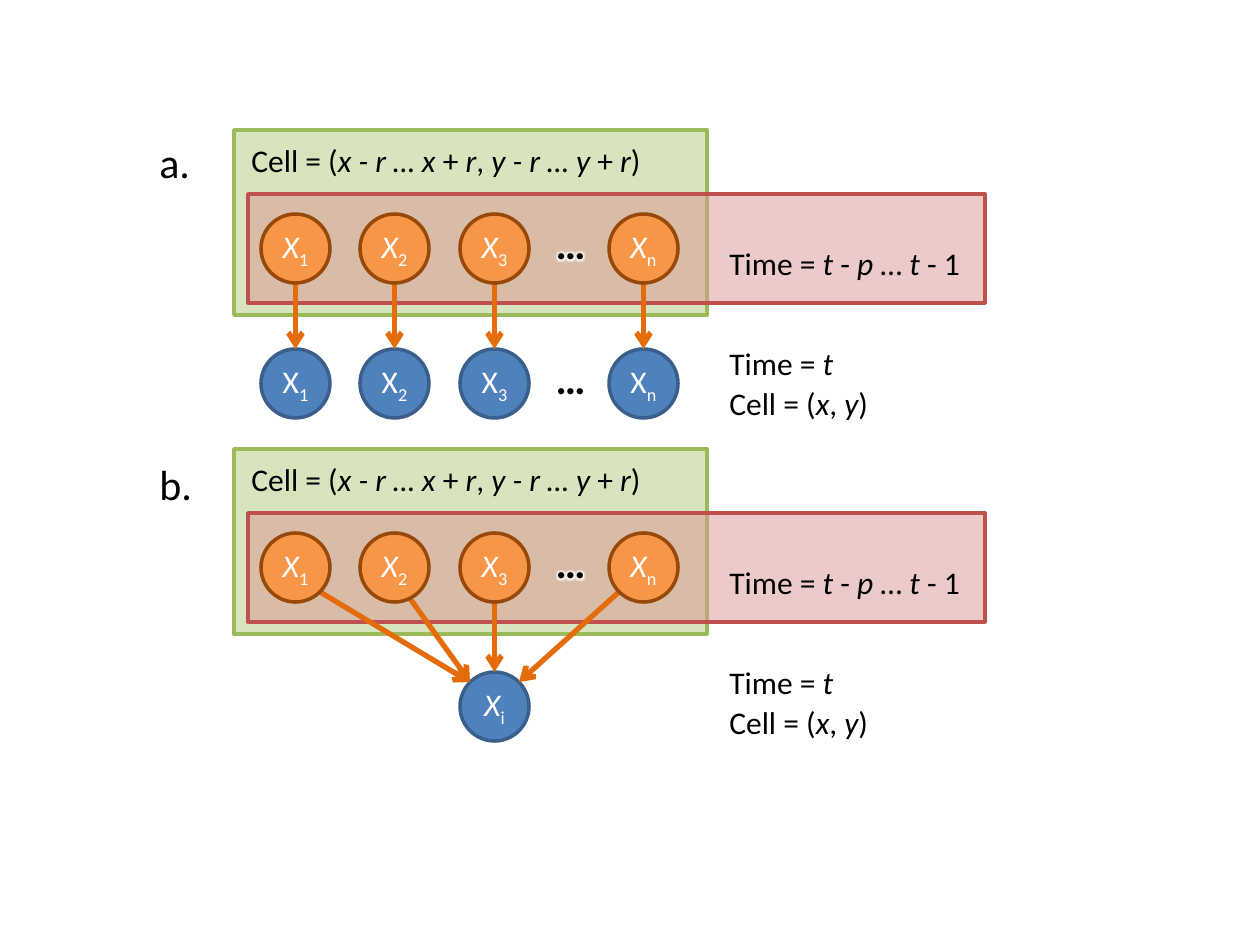
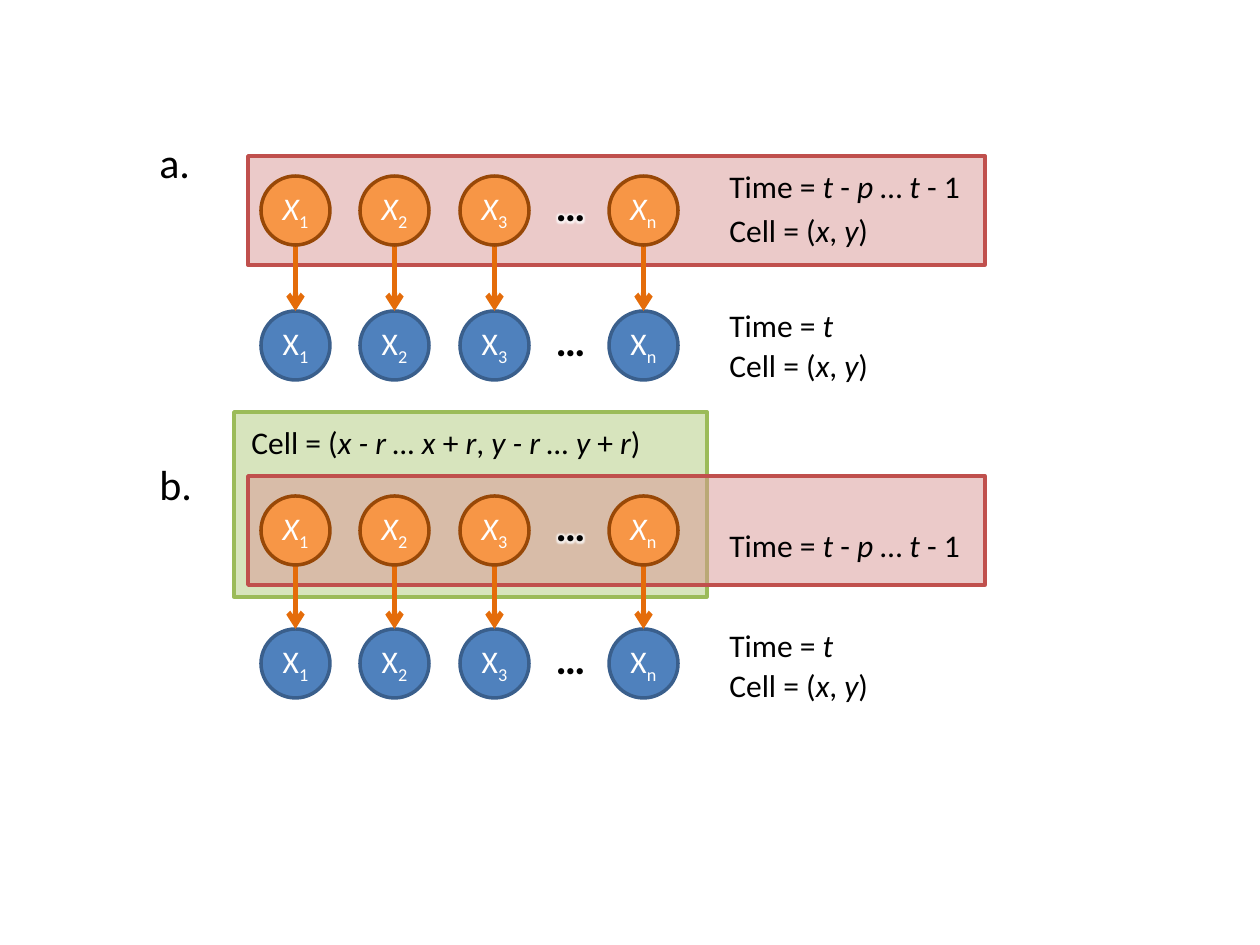
from math import sqrt

from lxml.etree import SubElement
from pptx import Presentation
from pptx.dml.color import RGBColor
from pptx.enum.shapes import MSO_CONNECTOR, MSO_SHAPE
from pptx.enum.text import MSO_ANCHOR, MSO_AUTO_SIZE, PP_ALIGN
from pptx.oxml.ns import qn
from pptx.util import Emu, Inches, Pt

PX_PER_INCH = 126
FONT = "Calibri"
BLACK, WHITE = "000000", "FFFFFF"
ARROW = "E46C0A"
# Fill and outline of each kind of shape
CELL_BAND = ("D7E4BD", "9BBB59")
TIME_BAND = ("D99694", "C0504D")
PAST_NODE = ("F79646", "984807")
PRESENT_NODE = ("4F81BD", "3A5F8C")

NODE = 69
NODE_COLUMNS = {"1": 261, "2": 360, "3": 460, "n": 609}
LABEL_X = 717

# Asterisks enclose italic words
PAST_TIME = "Time = *t* - *p* … *t* - 1"
PRESENT_TIME = "Time = *t*"
ONE_CELL = "Cell = (*x*, *y*)"
CELL_RANGE = "Cell = (*x - r … x *+* r*, *y - r … y *+* r*)"


def px(length):
    return Emu(round(length * Inches(1) / PX_PER_INCH))


def color(value):
    return RGBColor.from_string(value)


def add_span(para, text, size, ink, italic=False, bold=False):
    span = para.add_run()
    span.text = text
    font = span.font
    font.name, font.size = FONT, Pt(size)
    font.italic, font.bold = italic, bold
    font.color.rgb = color(ink)
    return span


def add_panel(page, kind, x, y, width, height, colors):
    fill, outline = colors
    panel = page.shapes.add_shape(kind, px(x), px(y), px(width), px(height))
    panel.shadow.inherit = False
    panel.fill.solid()
    panel.fill.fore_color.rgb = color(fill)
    panel.line.color.rgb = color(outline)
    panel.line.width = Pt(2)
    return panel


def add_label(page, x, y, width, text, size=18, height=50, bold=False, centred=False):
    box = page.shapes.add_textbox(px(x), px(y), px(width), px(height))
    frame = box.text_frame
    frame.word_wrap = True
    frame.auto_size = MSO_AUTO_SIZE.SHAPE_TO_FIT_TEXT
    para = frame.paragraphs[0]
    para.alignment = PP_ALIGN.CENTER if centred else PP_ALIGN.LEFT
    for index, part in enumerate(text.split("*")):
        if part:
            add_span(para, part, size, BLACK, italic=index % 2 == 1, bold=bold)
    return box


def add_ellipsis(page, node_y, glowing=False):
    box = add_label(page, 541, node_y - 3, 59, "…", 24, 63, bold=True, centred=True)
    if glowing:
        span = box.text_frame.paragraphs[0].runs[0]
        properties = span.font.fill._xPr
        effects = SubElement(properties, qn("a:effectLst"))
        properties.find(qn("a:solidFill")).addnext(effects)
        glow = SubElement(effects, qn("a:glow"), rad=str(Pt(5)))
        tint = SubElement(glow, qn("a:srgbClr"), val=WHITE)
        SubElement(tint, qn("a:alpha"), val="75000")


def add_node(page, x, y, subscript, colors, italic):
    node = add_panel(page, MSO_SHAPE.OVAL, x, y, NODE, NODE, colors)
    frame = node.text_frame
    frame.margin_left = frame.margin_top = frame.margin_right = frame.margin_bottom = 0
    frame.vertical_anchor = MSO_ANCHOR.MIDDLE
    para = frame.paragraphs[0]
    para.alignment = PP_ALIGN.CENTER
    add_span(para, "X", 18, WHITE, italic)
    lowered = add_span(para, subscript, 18, WHITE)
    lowered.font._element.set("baseline", "-25000")
    return node


def add_row(page, y, colors, italic):
    add_ellipsis(page, y, glowing=colors == PAST_NODE)
    return [add_node(page, x, y, subscript, colors, italic)
            for subscript, x in NODE_COLUMNS.items()]


def add_arrow(page, start, end, target=None):
    points = [px(value) for value in (*start, *end)]
    arrow = page.shapes.add_connector(MSO_CONNECTOR.STRAIGHT, *points)
    if target is not None:
        arrow.end_connect(target, 0)
    arrow.line.color.rgb = color(ARROW)
    arrow.line.width = Pt(3)
    SubElement(arrow.line._get_or_add_ln(), qn("a:tailEnd"), type="arrow")
    SubElement(arrow._element.spPr, qn("a:effectLst"))


def rim_point(x, y, across, down):
    """Point on a node's rim, in the direction given by -1, 0 or 1 on each axis."""
    reach = NODE / 2 / sqrt(across ** 2 + down ** 2)
    return x + NODE / 2 + across * reach, y + NODE / 2 + down * reach


def add_straight_links(page, past_y, present_y):
    targets = add_row(page, present_y, PRESENT_NODE, italic=False)
    for x, target in zip(NODE_COLUMNS.values(), targets):
        add_arrow(page, rim_point(x, past_y, 0, 1), rim_point(x, present_y, 0, -1), target)


def add_fan_links(page, past_y, present_y):
    target_x = NODE_COLUMNS["3"]
    target = add_node(page, target_x, present_y, "i", PRESENT_NODE, italic=True)
    # Rim directions at the start and the end of each arrow
    directions = {"1": ((1, 1), (-1, -1)), "2": ((-1, -1), (-1, -1)),
                  "3": ((0, 1), (0, -1)), "n": ((-1, 1), (1, -1))}
    for subscript, (leaving, arriving) in directions.items():
        add_arrow(page, rim_point(NODE_COLUMNS[subscript], past_y, *leaving),
                  rim_point(target_x, present_y, *arriving),
                  target if arriving == (0, -1) else None)


def add_diagram(page, band_y, drop, add_links=add_straight_links, neighbours=True):
    """Draw past nodes in a time band and, drop px below its top, the present ones."""
    past_y = band_y + 20

    # Bands
    if neighbours:
        add_panel(page, MSO_SHAPE.RECTANGLE, 234, band_y - 64, 473, 185, CELL_BAND)
    band = add_panel(page, MSO_SHAPE.RECTANGLE, 248, band_y, 737, 109, TIME_BAND)
    tint = band.fill._xPr.find(qn("a:solidFill"))[0]
    SubElement(tint, qn("a:alpha"), val="50000")

    # Nodes and arrows
    add_links(page, past_y, band_y + drop)
    add_row(page, past_y, PAST_NODE, italic=True)

    # Labels
    if neighbours:
        add_label(page, 239, band_y - 59, 460, CELL_RANGE)
        labels = [(44, PAST_TIME)]
    else:
        labels = [(5, PAST_TIME), (49, ONE_CELL)]
    for offset, text in labels + [(144, PRESENT_TIME), (184, ONE_CELL)]:
        add_label(page, LABEL_X, band_y + offset, 338, text)


def add_page(deck):
    page = deck.slides.add_slide(deck.slide_layouts[6])
    for y, letter in ((130, "a."), (452, "b.")):
        add_label(page, 147, y, 62, letter, 24, 63)
    return page


def main():
    deck = Presentation()
    deck.slide_width, deck.slide_height = Inches(10), Inches(7.5)

    # Neighbouring cells: one-to-one and many-to-one
    page = add_page(deck)
    add_diagram(page, 194, 155)
    add_diagram(page, 513, 159, add_links=add_fan_links)

    # One cell against neighbouring cells
    page = add_page(deck)
    add_diagram(page, 156, 155, neighbours=False)
    add_diagram(page, 476, 153)

    deck.save("out.pptx")


if __name__ == "__main__":
    main()
